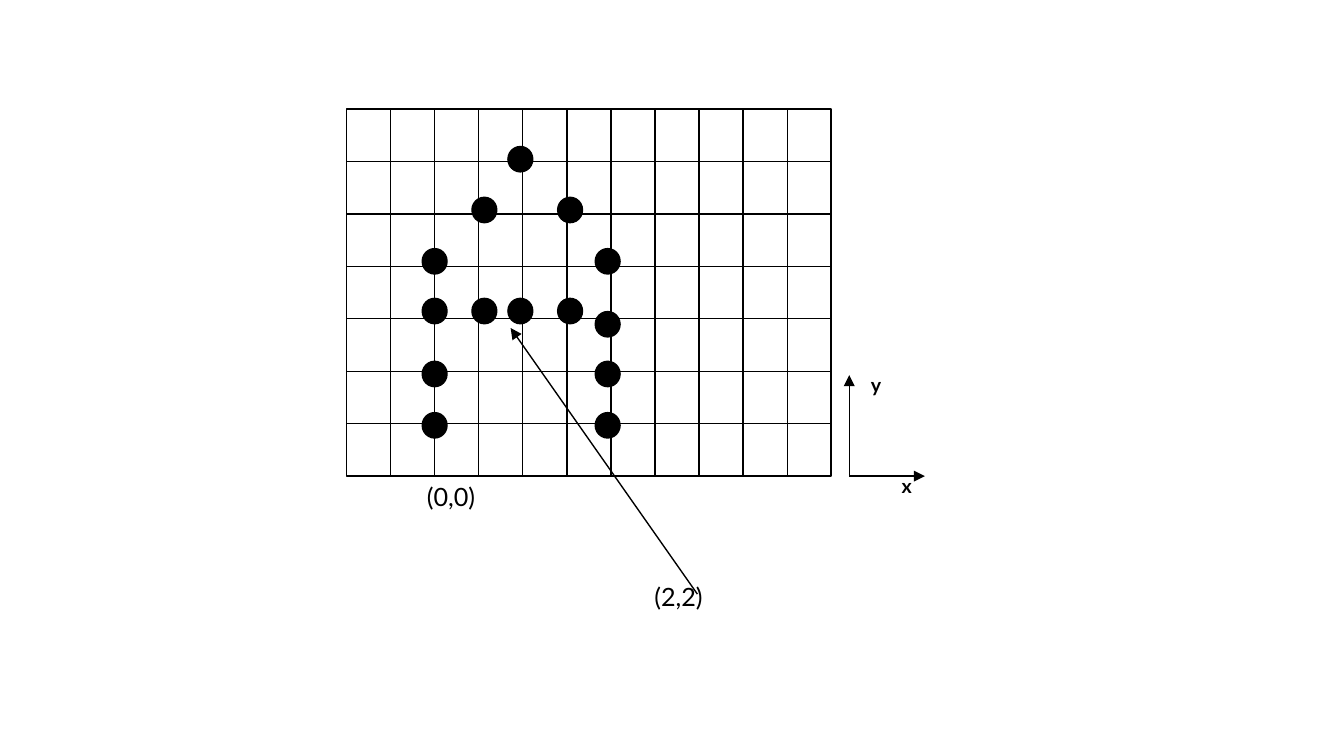
from lxml.etree import SubElement
from pptx import Presentation
from pptx.dml.color import RGBColor
from pptx.enum.shapes import MSO_CONNECTOR, MSO_SHAPE
from pptx.oxml.ns import qn
from pptx.util import Cm, Pt

BLACK = "000000"
FONT = "Lato"
GRID_LEFT, GRID_TOP, GRID_WIDTH, GRID_HEIGHT = 6.55, 2.06, 9.16, 6.94
GRID_RIGHT, GRID_BOTTOM = GRID_LEFT + GRID_WIDTH, GRID_TOP + GRID_HEIGHT
COLUMNS, ROWS = 11, 7
DOT_WIDTH, DOT_HEIGHT = 0.47, 0.48
DOT_ROWS = [
    (2.77, [9.6]),
    (3.73, [8.92, 10.54]),
    (4.7, [7.98, 11.25]),
    (5.64, [7.98, 8.92, 9.6, 10.54]),
    (5.89, [11.25]),
    (6.83, [7.98, 11.25]),
    (7.8, [7.98, 11.25]),
]
AXIS_X = 16.05


def color(hex_value):
    return RGBColor.from_string(hex_value)


def add_line(shapes, start, end, arrow=False):
    points = [Cm(value) for value in (*start, *end)]
    connector = shapes.add_connector(MSO_CONNECTOR.STRAIGHT, *points)
    connector.line.color.rgb = color(BLACK)
    connector.line.width = Pt(0.75)
    if arrow:
        SubElement(connector.line._get_or_add_ln(), qn("a:tailEnd"), type="triangle")
    SubElement(connector._element.spPr, qn("a:effectLst"))


def add_outlined_shape(shapes, kind, left, top, width, height, line_width, fill=None):
    shape = shapes.add_shape(kind, Cm(left), Cm(top), Cm(width), Cm(height))
    shape.shadow.inherit = False
    shape.line.color.rgb = color(BLACK)
    shape.line.width = Pt(line_width)
    if fill:
        shape.fill.solid()
        shape.fill.fore_color.rgb = color(fill)
    else:
        shape.fill.background()


def add_label(shapes, text, left, top, width, height, size, bold=False):
    box = shapes.add_textbox(Cm(left), Cm(top), Cm(width), Cm(height))
    box.text_frame.word_wrap = True
    run = box.text_frame.paragraphs[0].add_run()
    run.text = text
    run.font.name = FONT
    run.font.size = Pt(size)
    run.font.bold = bold
    run.font.color.rgb = color(BLACK)


def add_grid(shapes):
    add_outlined_shape(shapes, MSO_SHAPE.RECTANGLE, GRID_LEFT, GRID_TOP,
                       GRID_WIDTH, GRID_HEIGHT, 1)
    for row in range(1, ROWS):
        y = GRID_TOP + row * GRID_HEIGHT / ROWS
        add_line(shapes, (GRID_LEFT, y), (GRID_RIGHT, y))
    for column in range(1, COLUMNS):
        x = GRID_LEFT + column * GRID_WIDTH / COLUMNS
        add_line(shapes, (x, GRID_TOP), (x, GRID_BOTTOM))


def add_dots(shapes):
    for top, lefts in DOT_ROWS:
        for left in lefts:
            add_outlined_shape(shapes, MSO_SHAPE.OVAL, left, top,
                               DOT_WIDTH, DOT_HEIGHT, 0.75, BLACK)


def add_axes(shapes):
    origin = (AXIS_X, GRID_BOTTOM)
    add_line(shapes, origin, (AXIS_X, 7.09), arrow=True)
    add_line(shapes, origin, (17.48, GRID_BOTTOM), arrow=True)


def main():
    presentation = Presentation()
    presentation.slide_width = Cm(25.4)
    presentation.slide_height = Cm(14.29)
    slide = presentation.slides.add_slide(presentation.slide_layouts[6])
    shapes = slide.shapes

    letter = shapes.add_group_shape().shapes
    add_grid(letter)
    add_dots(letter)
    add_axes(shapes.add_group_shape().shapes)

    add_label(shapes, "(0,0)", 7.82, 8.97, 2.29, 0.84, 13.5)
    add_label(shapes, "y", 16.21, 6.93, 1.07, 0.71, 10.5, bold=True)
    add_label(shapes, "x", 16.79, 8.84, 1.09, 0.71, 10.5, bold=True)
    add_line(shapes, (13.18, 11.23), (9.65, 6.2), arrow=True)
    add_label(shapes, "(2,2)", 12.12, 10.87, 2.29, 0.84, 13.5)

    presentation.save("out.pptx")


if __name__ == "__main__":
    main()
